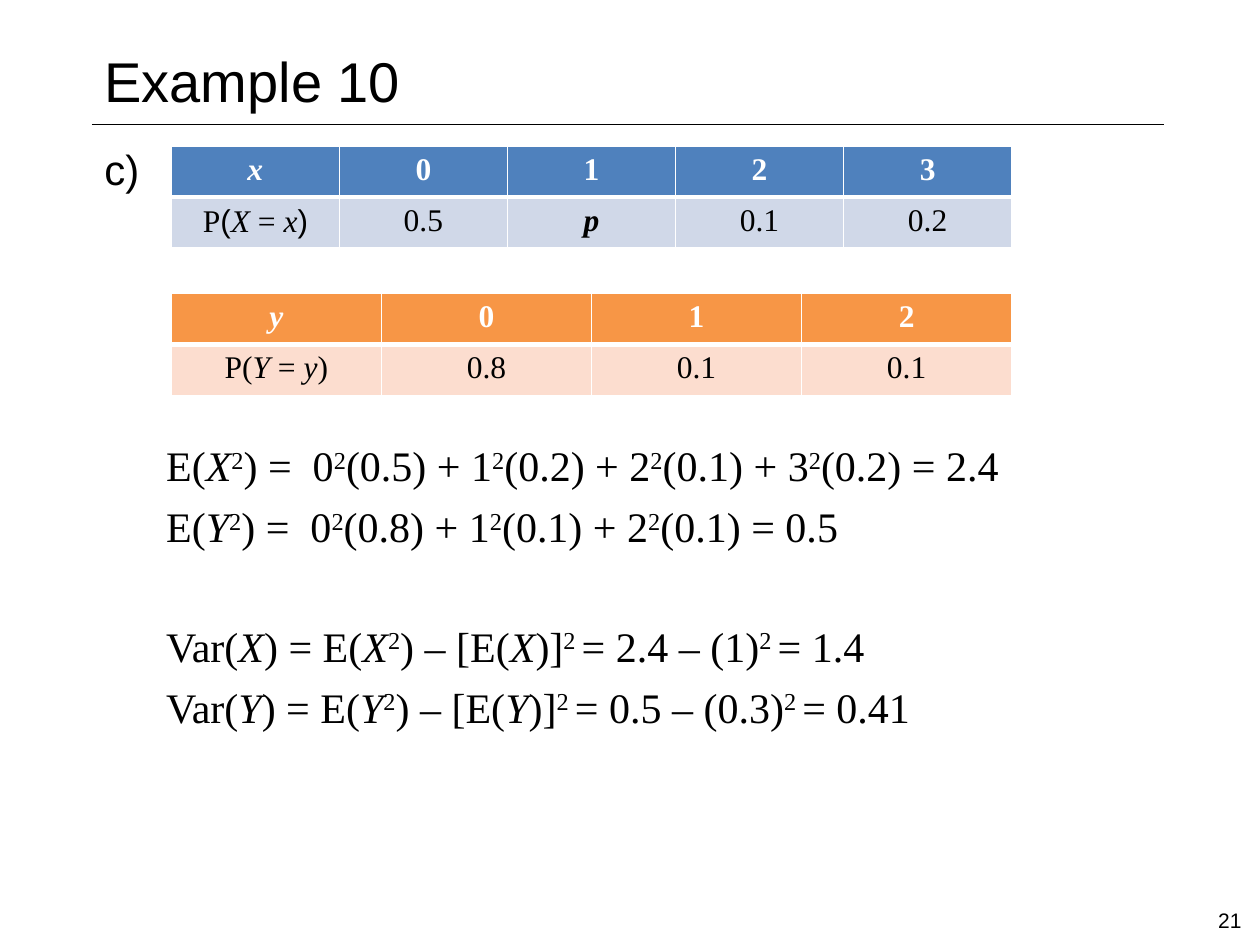
from dataclasses import dataclass

from lxml import etree
from pptx import Presentation
from pptx.dml.color import RGBColor
from pptx.enum.shapes import MSO_CONNECTOR
from pptx.enum.text import MSO_ANCHOR, PP_ALIGN
from pptx.oxml.ns import qn
from pptx.util import Inches, Pt

STRAIGHT = MSO_CONNECTOR.STRAIGHT
CENTER, LEFT = PP_ALIGN.CENTER, PP_ALIGN.LEFT
TOP, MIDDLE, BOTTOM = MSO_ANCHOR.TOP, MSO_ANCHOR.MIDDLE, MSO_ANCHOR.BOTTOM

WIDTH, HEIGHT = Inches(10), Inches(7.5)
COLS, ROWS = 100, 75


@dataclass(frozen=True)
class Theme:
    sans: str = "Arial"
    serif: str = "Times New Roman"
    black: str = "000000"
    white: str = "FFFFFF"
    blue: str = "4F81BD"
    pale_blue: str = "D0D8E8"
    orange: str = "F79646"
    pale_orange: str = "FCDDCF"
    title: int = 32
    body: int = 24
    cell: int = 18
    number: int = 12
    hairline: float = 0.25
    border: int = 1
    header_border: int = 3
    spacing: int = 6
    line_pitch: float = 33.6


THEME = Theme()

X_TABLE = [["_x", "0", "1", "2", "3"],
           ["P|~(|_X| = |_x|~)", "0.5", "*p", "0.1", "0.2"]]
Y_TABLE = [["_y", "0", "1", "2"],
           ["P(|_Y| = |_y|)", "0.8", "0.1", "0.1"]]

EQUATIONS = [
    (4, "E(|_X|^2|) =  0|^2|(0.5) + 1|^2|(0.2) + 2|^2|(0.1) + 3|^2|(0.2) = 2.4"),
    (0, "E(|_Y|^2|) =  0|^2|(0.8) + 1|^2|(0.1) + 2|^2|(0.1) = 0.5"),
    (1, "Var(|_X|) = E(|_X|^2|) – [E(|_X|)]|^2 |= 2.4 – (1)|^2 |= 1.4"),
    (0, "Var(|_Y|) = E(|_Y|^2|) – [E(|_Y|)]|^2 |= 0.5 – (0.3)|^2 |= 0.41"),
]


def gx(cols):
    return int(WIDTH * cols / COLS)


def gy(rows):
    return int(HEIGHT * rows / ROWS)


def add_runs(p, markup, size, font, color=THEME.black, bold=False):
    for piece in markup.split("|"):
        mark = piece[0] if piece[0] in "_^~*" else ""
        r = p.add_run()
        r.text = piece[len(mark):]
        r.font.name = THEME.sans if mark == "~" else font
        r.font.size = Pt(size)
        r.font.color.rgb = RGBColor.from_string(color)
        r.font.bold = bold or mark == "*"
        r.font.italic = mark in ("_", "*")
        if mark == "^":
            r.font._element.set("baseline", "30000")


def add_text(s, x, y, w, h, text, size, anchor):
    tf = s.shapes.add_textbox(gx(x), gy(y), gx(w), gy(h)).text_frame
    tf.word_wrap = True
    tf.vertical_anchor = anchor
    p = tf.paragraphs[0]
    p.alignment = LEFT
    add_runs(p, text, size, THEME.sans)
    return tf


def add_equations(tf, equations, indent):
    for skipped_lines, markup in equations:
        p = tf.add_paragraph()
        p.space_before = Pt(THEME.spacing + skipped_lines * THEME.line_pitch)
        p._p.get_or_add_pPr().set("marL", str(gx(indent)))
        add_runs(p, markup, THEME.body, THEME.serif)


def set_border(cell, side, width):
    ln = etree.SubElement(cell._tc.get_or_add_tcPr(), qn(f"a:ln{side}"),
                          w=str(Pt(width)))
    fill = etree.SubElement(ln, qn("a:solidFill"))
    etree.SubElement(fill, qn("a:srgbClr"), val=THEME.white)


def fill_cell(cell, markup, fill, header):
    thick_side = "B" if header else "T"
    for side in "LRTB":
        set_border(cell, side,
                   THEME.header_border if side == thick_side else THEME.border)
    cell.fill.solid()
    cell.fill.fore_color.rgb = RGBColor.from_string(fill)
    p = cell.text_frame.paragraphs[0]
    p.alignment = CENTER
    add_runs(p, markup, THEME.cell, THEME.serif,
             THEME.white if header else THEME.black, header)


def add_distribution(s, y, rows, fills):
    x, w, row_h = 13.6, 66.7, 4.05
    table = s.shapes.add_table(len(rows), len(rows[0]), gx(x), gy(y),
                               gx(w), gy(row_h * len(rows))).table
    for col in table.columns:
        col.width = gx(w / len(rows[0]))
    for i, row in enumerate(rows):
        for j, markup in enumerate(row):
            fill_cell(table.cell(i, j), markup, fills[i], i == 0)


def add_rule(s, x, y, w):
    line = s.shapes.add_connector(STRAIGHT, gx(x), gy(y), gx(x + w), gy(y))
    line.line.color.rgb = RGBColor.from_string(THEME.black)
    line.line.width = Pt(THEME.hairline)
    etree.SubElement(line._element.spPr, qn("a:effectLst"))


def main():
    prs = Presentation()
    prs.slide_width, prs.slide_height = WIDTH, HEIGHT
    s = prs.slides.add_slide(prs.slide_layouts[6])

    left, body_w = 7.3, 85.1
    add_rule(s, left, 9.9, body_w)
    add_text(s, left, 2.9, 67.9, 6.6, "Example 10", THEME.title, BOTTOM)
    tf = add_text(s, left, 10.5, body_w, 56.2, "c)", THEME.body, TOP)
    tf.margin_top = gy(0.9)
    add_equations(tf, EQUATIONS, 4.9)
    add_text(s, 95.7, 71, 4.3, 4, "21", THEME.number, MIDDLE)
    add_distribution(s, 11.6, X_TABLE, (THEME.blue, THEME.pale_blue))
    add_distribution(s, 23.3, Y_TABLE, (THEME.orange, THEME.pale_orange))
    prs.save("out.pptx")


if __name__ == "__main__":
    main()
